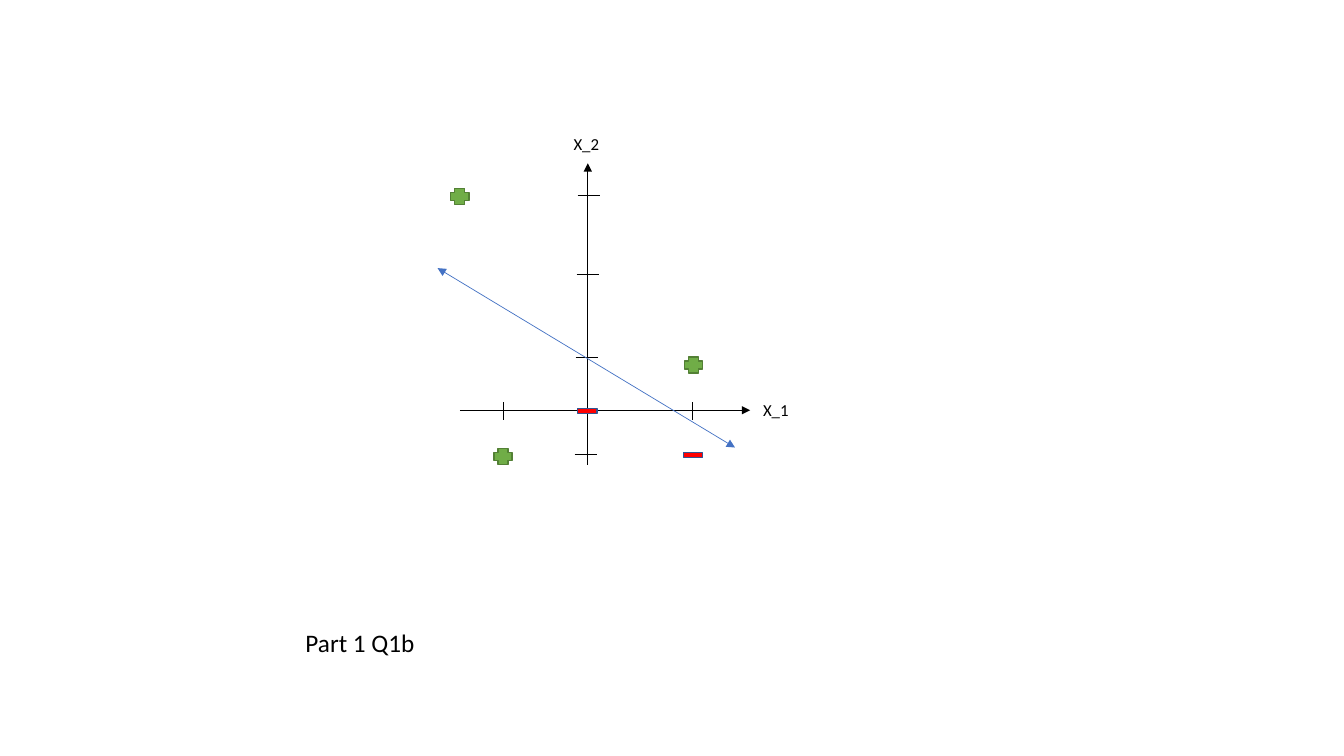
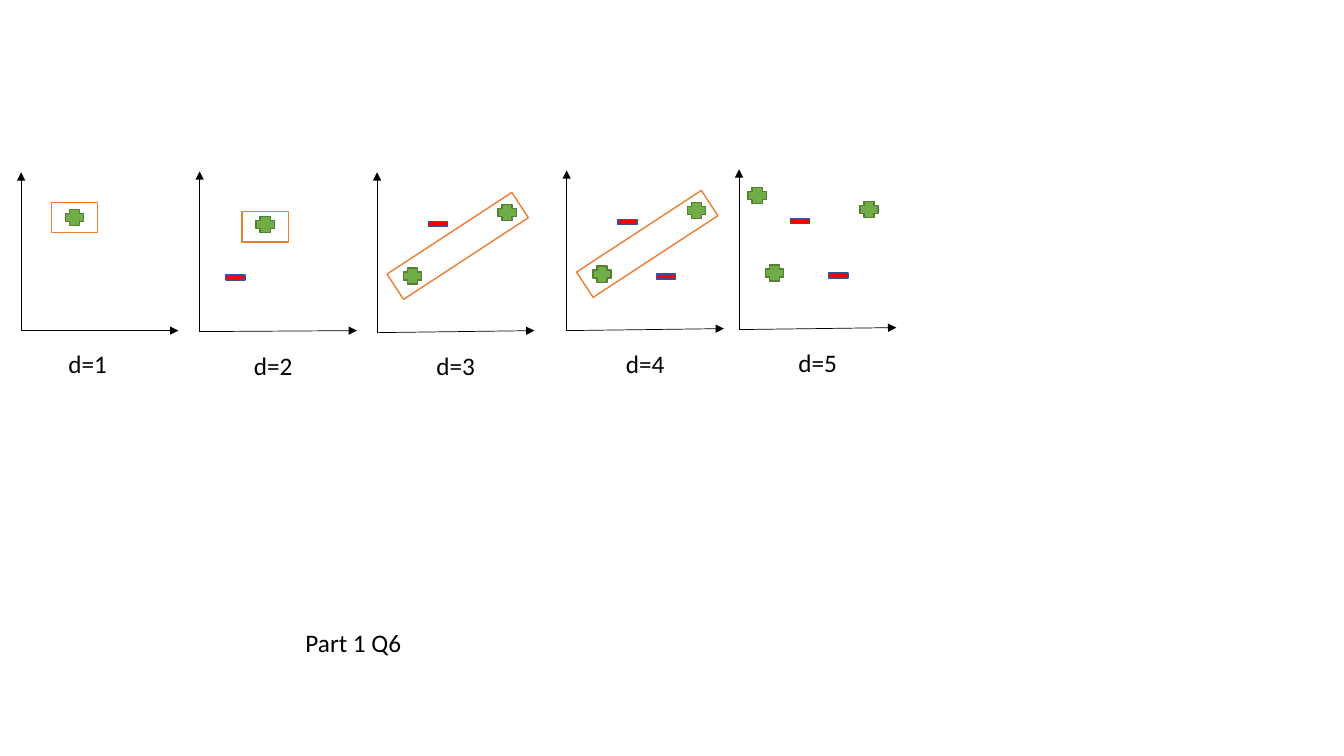
from dataclasses import dataclass

from lxml import etree
from pptx import Presentation
from pptx.dml.color import RGBColor
from pptx.enum.shapes import MSO_CONNECTOR, MSO_SHAPE
from pptx.enum.text import MSO_ANCHOR, MSO_AUTO_SIZE, PP_ALIGN
from pptx.oxml.ns import qn
from pptx.util import Inches, Pt

STRAIGHT = MSO_CONNECTOR.STRAIGHT
PLUS = MSO_SHAPE.CROSS
RECTANGLE = MSO_SHAPE.RECTANGLE
TOP = MSO_ANCHOR.TOP
LEFT = PP_ALIGN.LEFT
NO_FIT = MSO_AUTO_SIZE.NONE
GROW = MSO_AUTO_SIZE.SHAPE_TO_FIT_TEXT
TITLE_ONLY = 5


@dataclass(frozen=True)
class Theme:
    font: str = "Calibri"
    ink: str = "000000"
    boundary: str = "4472C4"
    positive: str = "70AD47"
    positive_edge: str = "538035"
    negative: str = "FF0000"
    negative_edge: str = "325491"
    frame: str = "ED7D31"
    caption_size: int = 18
    axis_size: int = 12
    thin: float = 0.5
    outline: float = 1


class Deck:
    def __init__(self, theme):
        self.theme = theme
        self.presentation = Presentation()
        self.presentation.slide_width = Inches(13.33)
        self.presentation.slide_height = Inches(7.5)
        self.slide = None

    def add_slide(self, caption):
        layout = self.presentation.slide_layouts[TITLE_ONLY]
        self.slide = self.presentation.slides.add_slide(layout)
        title = self.slide.shapes.title
        title.left, title.top = Inches(2.93), Inches(6.17)
        title.width, title.height = Inches(3.06), Inches(0.4)
        title.text_frame.word_wrap = True
        title.text_frame.auto_size = NO_FIT
        self.add_text(title.text_frame, caption, self.theme.caption_size)

    def add_text(self, text_frame, text, size):
        text_frame.vertical_anchor = TOP
        paragraph = text_frame.paragraphs[0]
        paragraph.alignment = LEFT
        run = paragraph.add_run()
        run.text = text
        run.font.name = self.theme.font
        run.font.size = Pt(size)
        run.font.color.rgb = RGBColor.from_string(self.theme.ink)

    def label(self, text, left, top, width, height, size):
        box = self.slide.shapes.add_textbox(
            Inches(left), Inches(top), Inches(width), Inches(height))
        box.text_frame.word_wrap = False
        box.text_frame.auto_size = GROW
        self.add_text(box.text_frame, text, size)

    def line(self, start, end, color=None, ends=()):
        connector = self.slide.shapes.add_connector(
            STRAIGHT, *(Inches(value) for value in (*start, *end)))
        connector.line.color.rgb = RGBColor.from_string(color or self.theme.ink)
        connector.line.width = Pt(self.theme.thin)
        properties = connector._element.spPr
        outline = properties.find(qn("a:ln"))
        for end_name in ends:
            etree.SubElement(outline, qn(f"a:{end_name}"), type="triangle")
        etree.SubElement(properties, qn("a:effectLst"))

    def arrow(self, start, end):
        self.line(start, end, ends=("tailEnd",))

    def shape(self, kind, left, top, width, height, edge, fill=None, rotation=0):
        shape = self.slide.shapes.add_shape(
            kind, Inches(left), Inches(top), Inches(width), Inches(height))
        shape.shadow.inherit = False
        shape.rotation = rotation
        if fill:
            shape.fill.solid()
            shape.fill.fore_color.rgb = RGBColor.from_string(fill)
        else:
            shape.fill.background()
        shape.line.color.rgb = RGBColor.from_string(edge)
        shape.line.width = Pt(self.theme.outline)

    def positive(self, left, top):
        self.shape(PLUS, left, top, 0.18, 0.16,
                   self.theme.positive_edge, self.theme.positive)

    def negative(self, left, top):
        self.shape(RECTANGLE, left, top, 0.19, 0.05,
                   self.theme.negative_edge, self.theme.negative)

    def frame(self, left, top, width, rotation):
        self.shape(RECTANGLE, left, top, width, 0.3,
                   self.theme.frame, rotation=rotation)

    def panel(self, panel):
        x, y = panel.origin
        self.arrow((x, y), (x, y - panel.height))
        self.arrow((x, y), (x + 1.56, y - panel.rise))
        for left, top in panel.positives:
            self.positive(x + left, y + top)
        for left, top in panel.negatives:
            self.negative(x + left, y + top)
        if panel.frame:
            left, top, width, rotation = panel.frame
            self.frame(x + left, y + top, width, rotation)
        left, top = panel.label_offset
        self.label(panel.label, x + left, y + top, 0.59, 0.4,
                   self.theme.caption_size)


@dataclass(frozen=True)
class Panel:
    label: str
    origin: tuple
    positives: tuple
    negatives: tuple = ()
    frame: tuple = ()
    label_offset: tuple = (0.49, 0.13)
    height: float = 1.59
    rise: float = 0.02


PAIR = ((1.2, -1.27), (0.26, -0.64))
UPPER_NEGATIVE = (0.51, -1.1)
LOWER_NEGATIVE = (0.89, -0.56)
TILTED_FRAME = (0.06, -1.01, 1.48, 326.8)

PANELS = (
    Panel("d=1", (0.21, 3.28), ((0.44, -1.2),),
          frame=(0.3, -1.27, 0.46, 0), label_offset=(0.37, 0.13),
          height=1.57, rise=0),
    Panel("d=2", (1.98, 3.29), ((0.56, -1.14),), ((0.26, -0.56),),
          frame=(0.42, -1.19, 0.46, 0), label_offset=(0.44, 0.14), rise=0.01),
    Panel("d=3", (3.74, 3.3), PAIR, (UPPER_NEGATIVE,), TILTED_FRAME),
    Panel("d=4", (5.62, 3.28), PAIR, (UPPER_NEGATIVE, LOWER_NEGATIVE),
          TILTED_FRAME),
    Panel("d=5", (7.33, 3.27), (*PAIR, (0.09, -1.41)),
          (UPPER_NEGATIVE, LOWER_NEGATIVE)),
)


def build_boundary_slide(deck):
    deck.add_slide("Part 1 Q1b")
    deck.arrow((5.83, 4.61), (5.83, 1.62))
    deck.arrow((4.56, 4.07), (7.44, 4.07))
    for left, y in ((5.73, 1.94), (5.72, 2.72), (5.71, 3.55), (5.7, 4.51)):
        deck.line((left, y), (left + 0.22, y))
    for x in (4.99, 6.87):
        deck.line((x, 3.99), (x, 4.17))
    for text, left, top in (("X_2", 5.59, 1.28), ("X_1", 7.47, 3.92)):
        deck.label(text, left, top, 0.46, 0.3, deck.theme.axis_size)
    deck.line((7.29, 4.44), (4.34, 2.66), deck.theme.boundary,
              ("headEnd", "tailEnd"))
    for left, top in ((4.47, 1.87), (6.79, 3.54), (4.9, 4.45)):
        deck.positive(left, top)
    for left, top in ((5.73, 4.05), (6.78, 4.49)):
        deck.negative(left, top)


def build_panels_slide(deck):
    deck.add_slide("Part 1 Q6")
    for panel in PANELS:
        deck.panel(panel)


def main():
    deck = Deck(Theme())
    build_boundary_slide(deck)
    build_panels_slide(deck)
    deck.presentation.save("out.pptx")


if __name__ == "__main__":
    main()
